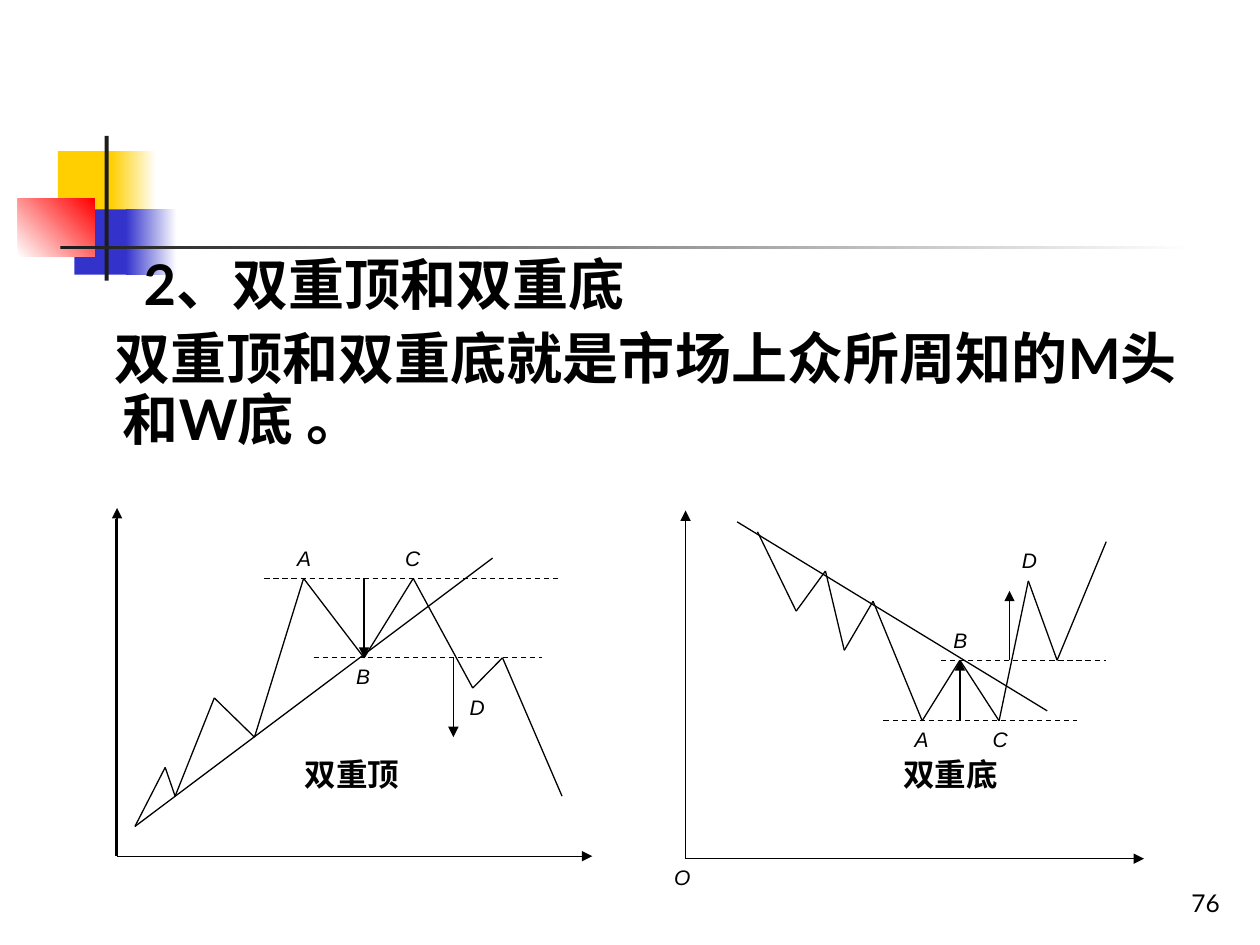
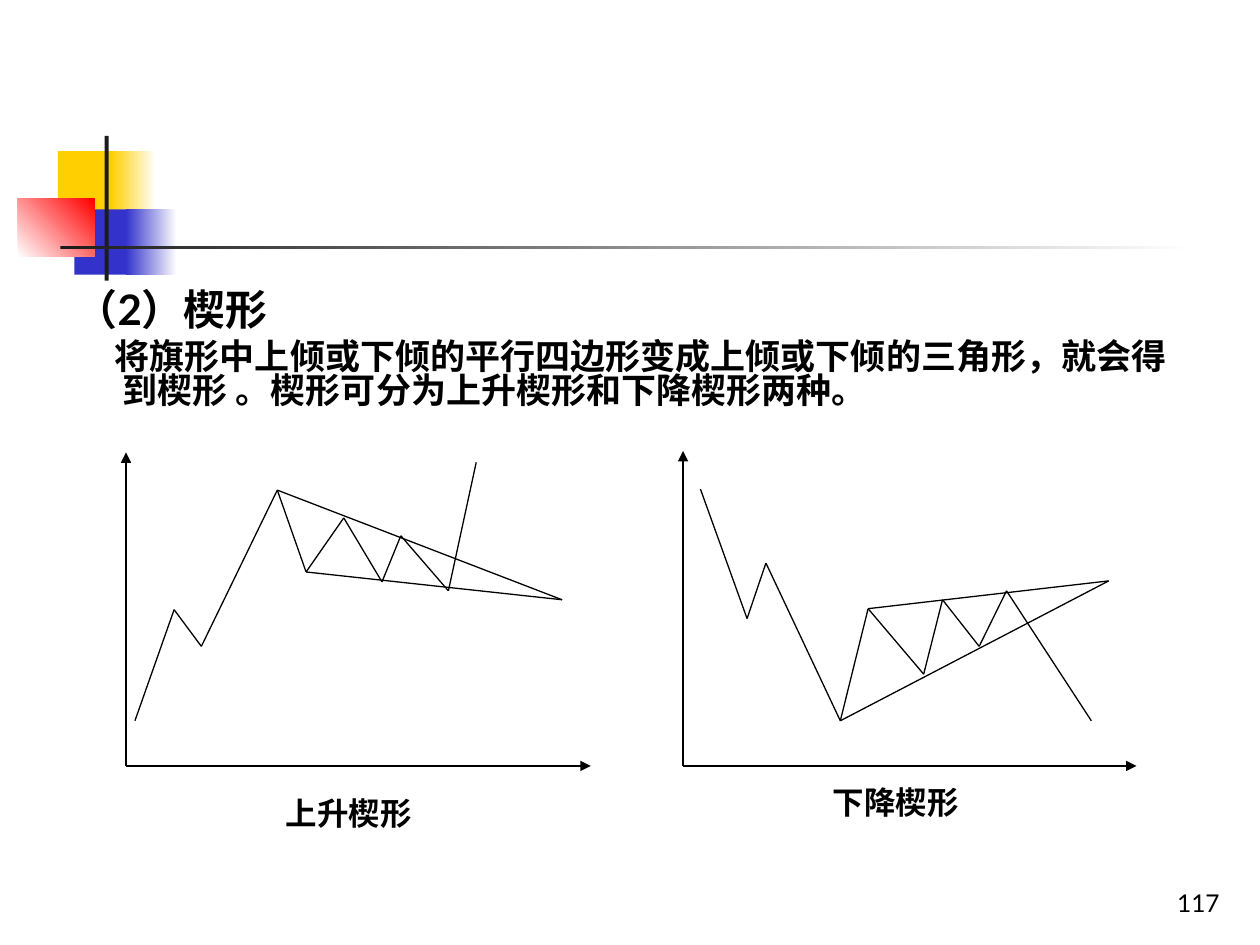
from itertools import pairwise

from lxml.etree import SubElement
from pptx import Presentation
from pptx.dml.color import RGBColor
from pptx.enum.dml import MSO_LINE
from pptx.enum.shapes import MSO_CONNECTOR, MSO_SHAPE
from pptx.enum.text import MSO_ANCHOR, MSO_AUTO_SIZE, PP_ALIGN
from pptx.oxml.ns import qn
from pptx.util import Cm, Pt

BLACK = RGBColor(0x00, 0x00, 0x00)
WHITE = RGBColor(0xFF, 0xFF, 0xFF)
CHARCOAL = RGBColor(0x1C, 0x1C, 0x1C)
YELLOW = RGBColor(0xFF, 0xCF, 0x01)
BLUE = RGBColor(0x33, 0x33, 0xCC)
RED = RGBColor(0xFF, 0x00, 0x00)

BODY_FONT = "Lato"
DIAGRAM_FONT = "Arial"

# left, top, width, height in cm, then one colour or two gradient colours, then angle
ORNAMENTS = [
    (1.17, 3.05, 1.22, 1.32, [YELLOW], 0),
    (2.24, 3.05, 0.91, 1.32, [YELLOW, WHITE], 0),
    (1.5, 4.22, 1.17, 1.32, [BLUE], 0),
    (2.54, 4.22, 1.02, 1.32, [BLUE, WHITE], 0),
    (0.36, 4.01, 1.55, 1.17, [WHITE, RED], 45),
    (2.11, 2.74, 0.08, 2.92, [CHARCOAL], 0),
    (1.22, 4.95, 22.86, 0.08, [CHARCOAL, WHITE], 0),
]


def add_ornaments(page):
    """Draw the corner blocks and the rule, and hand them to the page's layout."""
    layout_tree = page.slide_layout.shapes.element
    for number, (left, top, width, height, colours, angle) in enumerate(ORNAMENTS):
        block = page.shapes.add_shape(
            MSO_SHAPE.RECTANGLE, Cm(left), Cm(top), Cm(width), Cm(height))
        block.shadow.inherit = False
        block.line.fill.background()
        if len(colours) == 1:
            block.fill.solid()
            block.fill.fore_color.rgb = colours[0]
        else:
            block.fill.gradient()
            block.fill.gradient_angle = angle
            for stop, colour in zip(block.fill.gradient_stops, colours):
                stop.color.rgb = colour
        block.element.nvSpPr.cNvPr.set("id", str(100 + number))
        layout_tree.insert(2 + number, block.element)


def format_runs(para, font, size, bold=False, italic=False):
    for span in para.runs:
        span.font.name = font
        span.font.size = Pt(size)
        span.font.bold = bold
        span.font.italic = italic
        span.font.color.rgb = BLACK


def add_text(shapes, text, left, top, width, height, size, font=DIAGRAM_FONT,
             wrap=True, bold=False, italic=False):
    box = shapes.add_textbox(Cm(left), Cm(top), Cm(width), Cm(height))
    frame = box.text_frame
    frame.word_wrap = wrap
    frame.text = text
    format_runs(frame.paragraphs[0], font, size, bold, italic)
    return frame


def add_caption(page, text, left, top, width):
    add_text(page.shapes, text, left, top, width, 1.02, 18, wrap=False, bold=True)


def add_point_label(group, letter, left, top, width):
    add_text(group.shapes, letter, left, top, width, 0.76, 12, italic=True)


def add_page_number(page, number):
    frame = add_text(page.shapes, number, 19.56, 17.35, 5.28, 1.27, 14, BODY_FONT)
    frame.vertical_anchor = MSO_ANCHOR.BOTTOM
    frame.paragraphs[0].alignment = PP_ALIGN.RIGHT


def fill_body(page, top, height, top_margin, line_spacing, paragraphs):
    """Each paragraph is (text, size, first-line indent in cm, space before)."""
    body = page.placeholders[1]
    body.left, body.top, body.width, body.height = Cm(1.27), Cm(top), Cm(22.86), Cm(height)
    frame = body.text_frame
    frame.auto_size = MSO_AUTO_SIZE.NONE
    frame.vertical_anchor = MSO_ANCHOR.TOP
    frame.margin_top = Cm(top_margin)
    for index, (text, size, indent, space_before) in enumerate(paragraphs):
        para = frame.add_paragraph() if index else frame.paragraphs[0]
        para.text = text
        properties = para._p.get_or_add_pPr()
        properties.set("marL", str(Cm(0.95)))
        properties.set("indent", str(Cm(indent)))
        SubElement(properties, qn("a:buNone"))
        para.line_spacing = line_spacing
        para.space_before = Pt(space_before)
        format_runs(para, BODY_FONT, size, bold=True)


def add_line(group, start, end, arrow=False, dashed=False):
    line = group.shapes.add_connector(
        MSO_CONNECTOR.STRAIGHT, *(Cm(value) for value in (*start, *end)))
    line.line.color.rgb = BLACK
    line.line.width = Pt(0.75)
    if dashed:
        line.line.dash_style = MSO_LINE.DASH
    properties = line.element.spPr
    if arrow:
        SubElement(properties.find(qn("a:ln")), qn("a:tailEnd"), type="triangle")
    SubElement(properties, qn("a:effectLst"))


def add_chain(group, points):
    for start, end in pairwise(points):
        add_line(group, start, end)


def add_axes(page, origin, right, top):
    """Start a diagram group with its two arrowed axes."""
    group = page.shapes.add_group_shape()
    add_line(group, origin, (right, origin[1]), arrow=True)
    add_line(group, origin, (origin[0], top), arrow=True)
    return group


def add_level(group, left, right, height):
    add_line(group, (left, height), (right, height), dashed=True)


def add_move(group, x, start, end):
    """Vertical arrow for the size of a price move."""
    add_line(group, (x, start), (x, end), arrow=True)


def add_wedge(group, price, corner, tip):
    """Draw the price line and the two wedge edges from points 3 and 4 to the tip."""
    add_chain(group, price)
    add_chain(group, [price[corner], tip, price[corner + 1]])


def draw_double_top(page):
    peak, neck = 11.66, 13.26
    group = add_axes(page, (2.36, 17.26), 11.94, 10.24)
    add_line(group, (2.34, 17.26), (2.34, 10.46))
    add_chain(group, [(2.72, 16.66), (9.93, 11.25)])
    add_chain(group, [(2.72, 16.66), (3.33, 15.47), (3.53, 16.05), (4.32, 14.07),
                      (5.13, 14.86), (6.12, peak), (7.34, neck), (8.33, peak),
                      (9.53, 13.87), (10.13, neck), (11.33, 16.05)])
    add_level(group, 5.33, 11.33, peak)
    add_level(group, 6.32, 10.92, neck)
    add_move(group, 7.34, peak, neck)
    add_move(group, 9.14, neck, 14.86)
    add_point_label(group, "A", 5.74, 10.87, 1.19)
    add_point_label(group, "C", 7.92, 10.87, 1.19)
    add_point_label(group, "B", 6.93, neck, 0.99)
    add_point_label(group, "D", 9.22, 13.87, 0.81)
    add_caption(page, "双重顶", 5.89, 15.09, 2.41)


def draw_double_bottom(page):
    neck, trough = 13.31, 14.53
    group = add_axes(page, (13.82, 17.31), 23.06, 10.29)
    add_chain(group, [(14.86, 10.52), (21.11, 14.33)])
    add_chain(group, [(15.27, 10.72), (16.05, 12.32), (16.64, 11.51), (17.02, 13.11),
                      (17.6, 12.12), (18.59, trough), (19.35, neck), (20.14, trough),
                      (20.73, 11.71), (21.31, neck), (22.3, 10.92)])
    add_level(group, 18.97, 22.3, neck)
    add_level(group, 17.81, 21.72, trough)
    add_move(group, 19.35, trough, neck)
    add_move(group, 20.35, neck, 11.91)
    add_point_label(group, "O", 13.34, 17.3, 0.79)
    add_point_label(group, "A", 18.19, trough, 0.97)
    add_point_label(group, "C", 19.76, trough, 0.79)
    add_point_label(group, "B", 18.97, 12.52, 0.97)
    add_point_label(group, "D", 20.35, 10.92, 1.17)
    add_caption(page, "双重底", 17.96, 15.09, 2.41)


def draw_rising_wedge(page):
    group = add_axes(page, (2.54, 15.44), 11.91, 9.12)
    price = [(2.72, 14.53), (3.51, 12.29), (4.06, 13.03), (5.59, 9.88), (6.17, 11.53),
             (6.93, 10.44), (7.7, 11.73), (8.08, 10.8), (9.04, 11.91), (9.6, 9.32)]
    add_wedge(group, price, 3, (11.33, 12.09))
    add_caption(page, "上升楔形", 5.51, 15.88, 3.05)


def draw_falling_wedge(page):
    group = add_axes(page, (13.77, 15.44), 22.91, 9.09)
    price = [(14.12, 9.86), (15.06, 12.47), (15.44, 11.35), (16.94, 14.53), (17.5, 12.27),
             (18.62, 13.59), (19, 12.09), (19.74, 13.03), (20.29, 11.91), (22, 14.53)]
    add_wedge(group, price, 3, (22.35, 11.71))
    add_caption(page, "下降楔形", 16.54, 15.67, 3.05)


def add_page(deck, number):
    page = deck.slides.add_slide(deck.slide_layouts[1])
    title = page.shapes.title.element
    title.getparent().remove(title)
    add_page_number(page, number)
    return page


def main():
    deck = Presentation()
    deck.slide_width, deck.slide_height = Cm(25.4), Cm(19.05)

    double_page = add_page(deck, "76")
    add_ornaments(double_page)
    fill_body(double_page, 3.38, 6.15, 1.8, 0.9, [
        ("2、双重顶和双重底", 32, 0.42, 0),
        ("双重顶和双重底就是市场上众所周知的M头和W底 。", 32, -0.16, 8),
    ])
    draw_double_top(double_page)
    draw_double_bottom(double_page)

    wedge_page = add_page(deck, "117")
    fill_body(wedge_page, 4.52, 4.45, 1.4, 0.8, [
        ("（2）楔形", 24, -0.95, 0),
        ("将旗形中上倾或下倾的平行四边形变成上倾或下倾的三角形，就会得到楔形 。"
         "楔形可分为上升楔形和下降楔形两种。", 20, -0.16, 5),
    ])
    draw_rising_wedge(wedge_page)
    draw_falling_wedge(wedge_page)

    deck.save("out.pptx")


if __name__ == "__main__":
    main()
